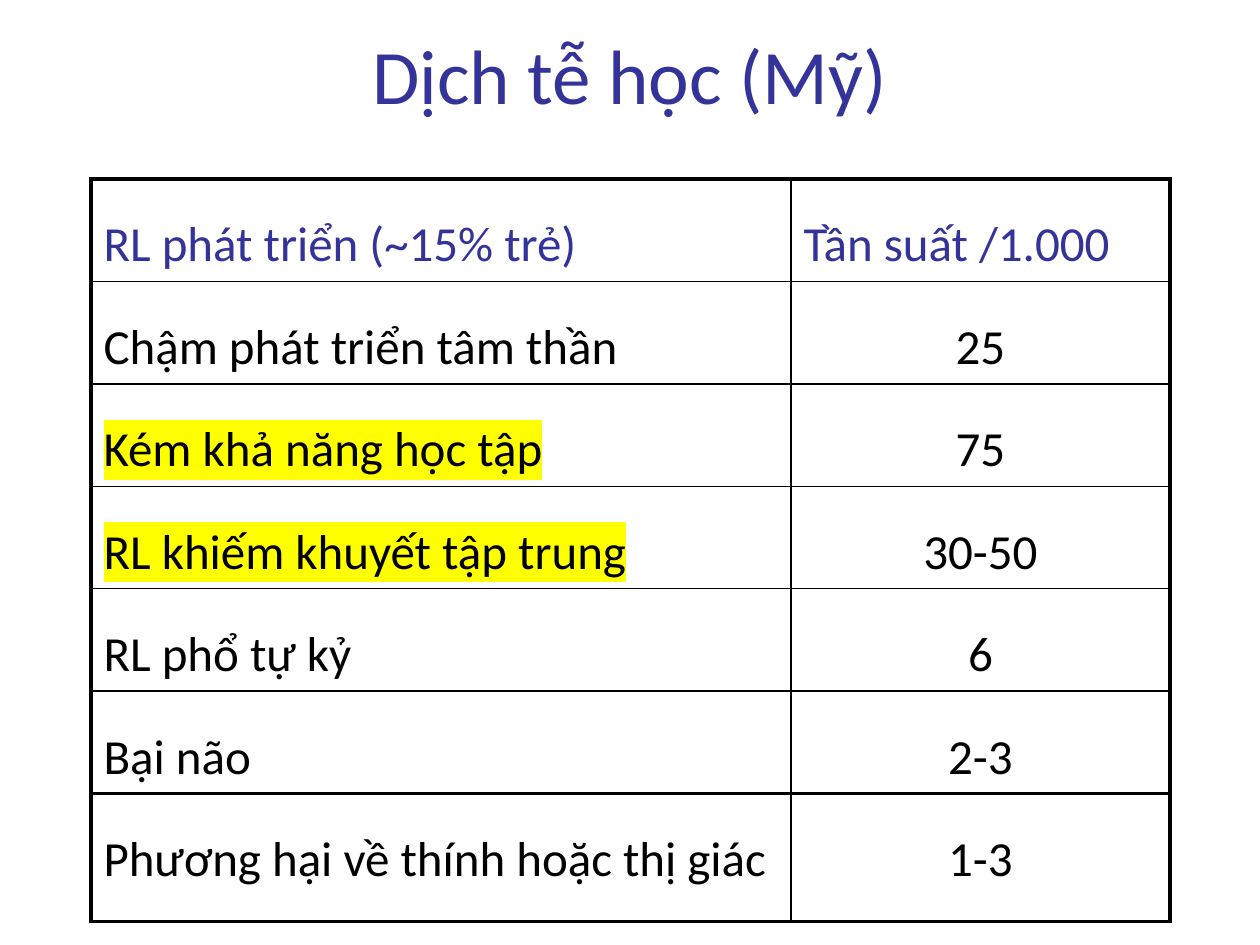
"""Builds a slide with a table of developmental disorder frequencies."""
from dataclasses import dataclass

from lxml import etree
from pptx import Presentation
from pptx.dml.color import RGBColor
from pptx.enum.text import MSO_ANCHOR, PP_ALIGN
from pptx.oxml.ns import qn
from pptx.util import Pt

LEFT, CENTER = PP_ALIGN.LEFT, PP_ALIGN.CENTER
MIDDLE = MSO_ANCHOR.MIDDLE
TITLE_ONLY = 5
EMU_PER_PX = 914400 / 126


@dataclass(frozen=True)
class Theme:
    """Holds the colours, font and sizes of the slide."""
    accent: str = "333399"
    body: str = "000000"
    border: str = "000000"
    highlight: str = "FFFF00"
    font: str = "Calibri"
    title_size: int = 44
    table_size: int = 28
    line_spacing: float = 1.5
    thin: float = 1
    thick: float = 2.25


THEME = Theme()
TITLE = "Dịch tễ học (Mỹ)"
HEADER = ("RL phát triển (~15% trẻ)", "Tần suất /1.000")
DISORDERS = [
    ("Chậm phát triển tâm thần", "25"),
    ("Kém khả năng học tập", "75"),
    ("RL khiếm khuyết tập trung", "30-50"),
    ("RL phổ tự kỷ", "6"),
    ("Bại não", "2-3"),
    ("Phương hại về thính hoặc thị giác", "1-3"),
]
HIGHLIGHTED = {"Kém khả năng học tập", "RL khiếm khuyết tập trung"}
COLUMN_WIDTHS = (700, 379)
ROW_HEIGHTS = (102,) * len(DISORDERS) + (128,)


def px(length):
    """Converts pixels to EMU."""
    return round(length * EMU_PER_PX)


def format_text(paragraph, size, color, align):
    """Sets the alignment of a paragraph and the font of its runs."""
    paragraph.alignment = align
    for run in paragraph.runs:
        run.font.name = THEME.font
        run.font.size = Pt(size)
        run.font.color.rgb = RGBColor.from_string(color)


def highlight(run):
    """Puts the marker colour behind a run."""
    marker = etree.Element(qn("a:highlight"))
    etree.SubElement(marker, qn("a:srgbClr"), val=THEME.highlight)
    run.font.fill._xPr.find(qn("a:solidFill")).addnext(marker)


def set_borders(cell, widths):
    """Draws the left, right, top and bottom borders of a cell."""
    properties = cell._tc.get_or_add_tcPr()
    for index, (side, width) in enumerate(zip("LRTB", widths)):
        line = etree.Element(qn(f"a:ln{side}"), w=str(Pt(width)))
        fill = etree.SubElement(line, qn("a:solidFill"))
        etree.SubElement(fill, qn("a:srgbClr"), val=THEME.border)
        properties.insert(index, line)


def add_title(slide):
    """Places and formats the title."""
    title = slide.shapes.title
    title.left, title.top, title.width, title.height = map(px, (63, 21, 1134, 105))
    title.text_frame.text = TITLE
    title.text_frame.vertical_anchor = MIDDLE
    format_text(title.text_frame.paragraphs[0], THEME.title_size, THEME.accent, CENTER)


def fill_cell(cell, text, color, align):
    """Writes one table cell."""
    cell.fill.background()
    cell.text_frame.text = text
    paragraph = cell.text_frame.paragraphs[0]
    paragraph.line_spacing = THEME.line_spacing
    format_text(paragraph, THEME.table_size, color, align)
    if text in HIGHLIGHTED:
        highlight(paragraph.runs[0])


def add_frequency_table(slide):
    """Adds the table of disorders and their frequencies."""
    entries = [HEADER, *DISORDERS]
    last = len(entries) - 1
    table = slide.shapes.add_table(
        len(entries), len(HEADER), px(91), px(179),
        px(sum(COLUMN_WIDTHS)), px(sum(ROW_HEIGHTS))).table
    table.first_row = table.horz_banding = False
    for column, width in zip(table.columns, COLUMN_WIDTHS):
        column.width = px(width)
    for row, height in zip(table.rows, ROW_HEIGHTS):
        row.height = px(height)
    for row, entry in enumerate(entries):
        for column, text in enumerate(entry):
            cell = table.cell(row, column)
            color = THEME.body if row else THEME.accent
            fill_cell(cell, text, color, CENTER if row and column else LEFT)
            thick_sides = (column == 0, column == 1,
                           row in (0, last), row >= last - 1)
            set_borders(cell, [THEME.thick if thick else THEME.thin
                               for thick in thick_sides])


def main():
    """Builds and saves the slide."""
    presentation = Presentation()
    presentation.slide_width, presentation.slide_height = px(1260), px(945)
    slide = presentation.slides.add_slide(presentation.slide_layouts[TITLE_ONLY])
    add_title(slide)
    add_frequency_table(slide)
    presentation.save("out.pptx")


if __name__ == "__main__":
    main()
